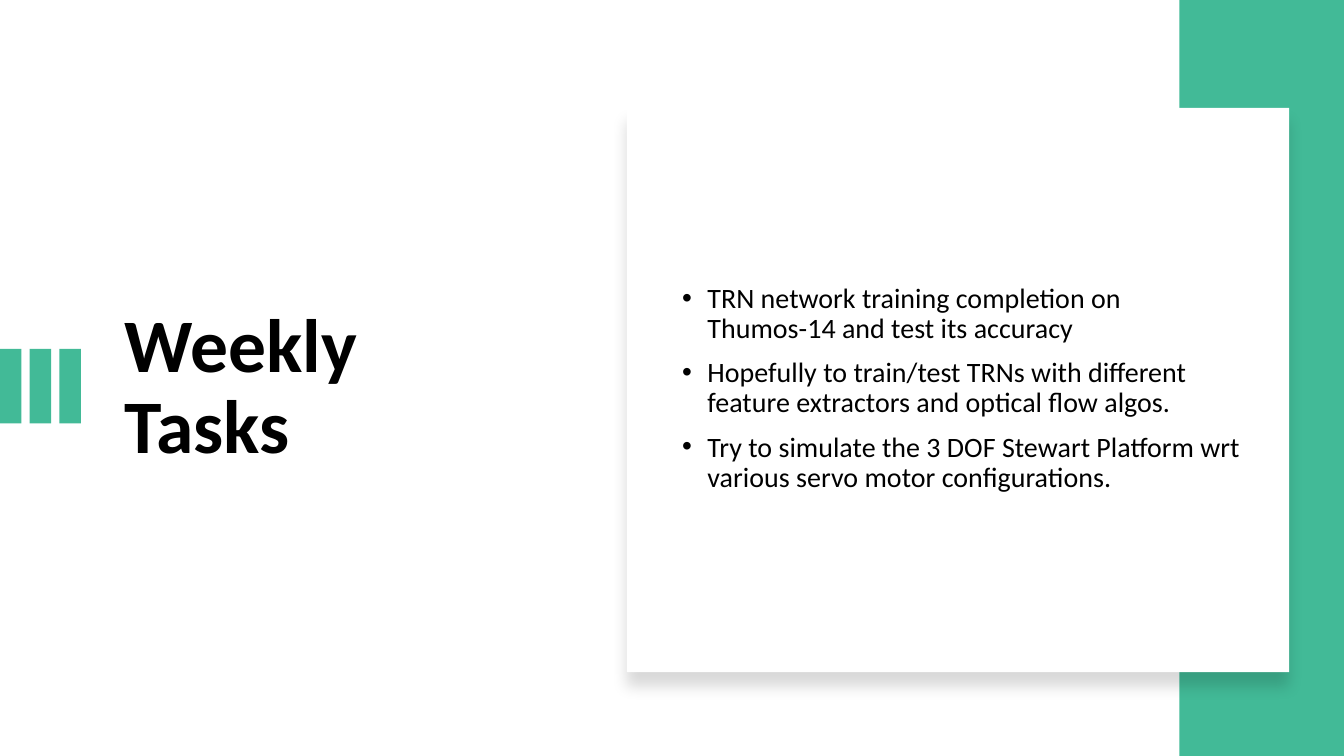
from dataclasses import dataclass

from lxml.etree import SubElement as Sub
from pptx import Presentation as Deck
from pptx.dml.color import RGBColor as RGB
from pptx.enum.shapes import MSO_SHAPE as Shape
from pptx.enum.text import MSO_ANCHOR as Anchor
from pptx.oxml.ns import qn
from pptx.util import Cm, Pt


@dataclass(frozen=True)
class Theme:
    green: RGB = RGB(0x42, 0xBA, 0x97)
    white: RGB = RGB(0xFF, 0xFF, 0xFF)
    black: RGB = RGB(0, 0, 0)
    font: str = "Calibri"
    title: int = 54
    body: int = 20


THEME = Theme()
WIDE, HIGH = 33.87, 19.05
TASKS = (
    "TRN network training completion on Thumos-14 and test its accuracy",
    "Hopefully to train/test TRNs with different feature extractors "
    "and optical flow algos.",
    "Try to simulate the 3 DOF Stewart Platform wrt various servo motor "
    "configurations.",
)


def apply(item, style):
    for name, value in style.items():
        setattr(item, name, value)


def add_box(shapes, area, color):
    box = shapes.add_shape(Shape.RECTANGLE, *map(Cm, area))
    box.shadow.inherit = False
    box.fill.solid()
    box.fill.fore_color.rgb = color
    box.line.fill.background()
    return box


def add_shade(box):
    """Cast a soft shadow straight down."""
    effect = box._element.spPr.find(qn("a:effectLst"))
    shade = Sub(effect, qn("a:outerShdw"), blurRad=str(Pt(11)),
                dist=str(Pt(10)), dir="5400000", algn="t", rotWithShape="0")
    color = Sub(shade, qn("a:srgbClr"), val=str(THEME.black))
    Sub(color, qn("a:alpha"), val="15000")


def add_bullet(para):
    props = para._p.get_or_add_pPr()
    props.set("marL", str(Cm(0.64)))
    props.set("indent", str(-Cm(0.64)))
    Sub(props, qn("a:buFont"), typeface="Arial")
    Sub(props, qn("a:buChar"), char="•")


def add_text(shapes, area, lines, size, bold=False, gap=0, bullet=False):
    frame = shapes.add_textbox(*map(Cm, area)).text_frame
    apply(frame, {"word_wrap": True, "vertical_anchor": Anchor.MIDDLE})
    frame.text = "\n".join(lines)
    for para in frame.paragraphs:
        apply(para, {"line_spacing": 0.9, "space_before": Pt(gap)})
        if bullet:
            add_bullet(para)
        font = para.runs[0].font
        apply(font, {"name": THEME.font, "size": Pt(size), "bold": bold})
        font.color.rgb = THEME.black


def add_bars(shapes, count=3, step=0.75):
    group = shapes.add_group_shape().shapes
    for i in range(count):
        add_box(group, (i * step, 8.79, 0.54, 1.88), THEME.green)


def main():
    deck = Deck()
    apply(deck, {"slide_width": Cm(WIDE), "slide_height": Cm(HIGH)})
    shapes = deck.slides.add_slide(deck.slide_layouts[6]).shapes

    # Title with its accent bars
    add_text(shapes, (2.9, 3.71, 10.82, 12.17), ["Weekly Tasks"],
             THEME.title, bold=True)
    add_bars(shapes)

    # Side band and raised card
    band = 4.15
    add_box(shapes, (WIDE - band, 0, band, HIGH), THEME.green)
    card = add_box(shapes, (15.8, 2.72, 16.69, 14.22), THEME.white)
    add_shade(card)

    # Task list
    add_text(shapes, (16.94, 3.71, 14.6, 12.17), TASKS, THEME.body,
             gap=10, bullet=True)

    deck.save("out.pptx")


if __name__ == "__main__":
    main()
